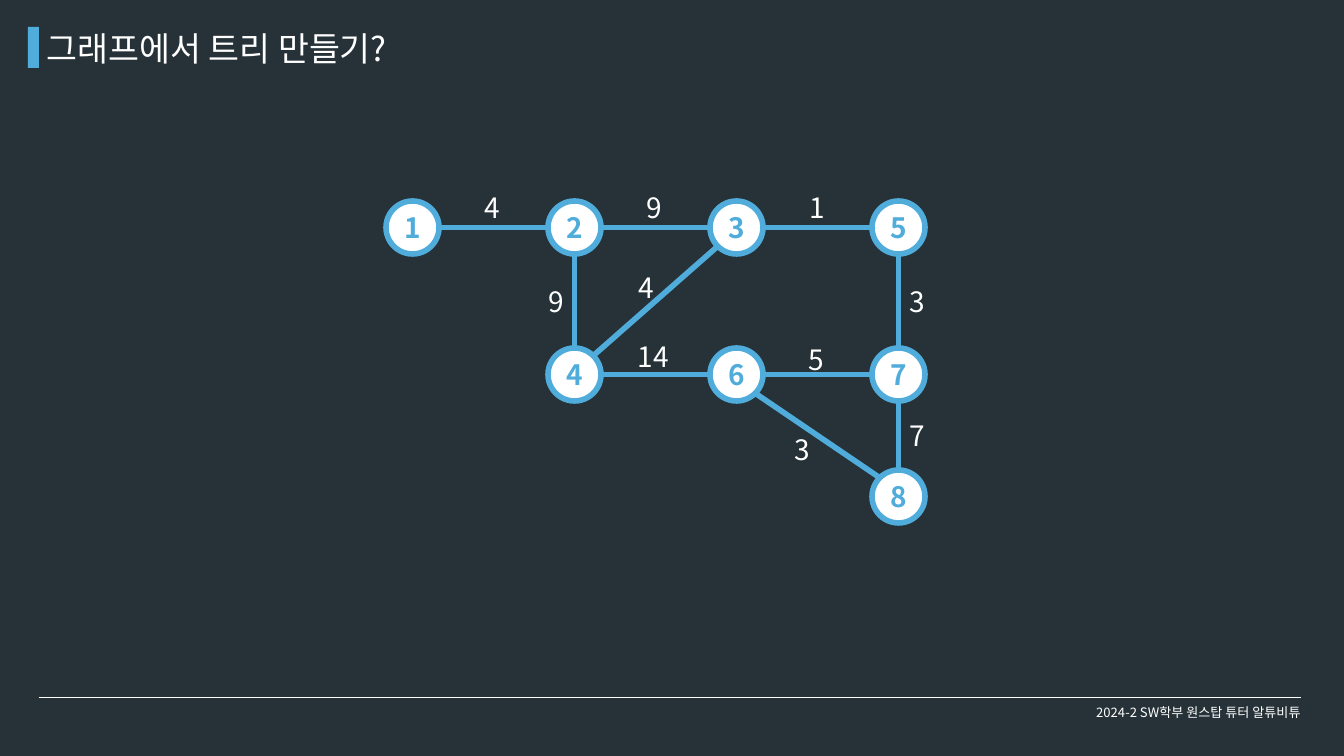
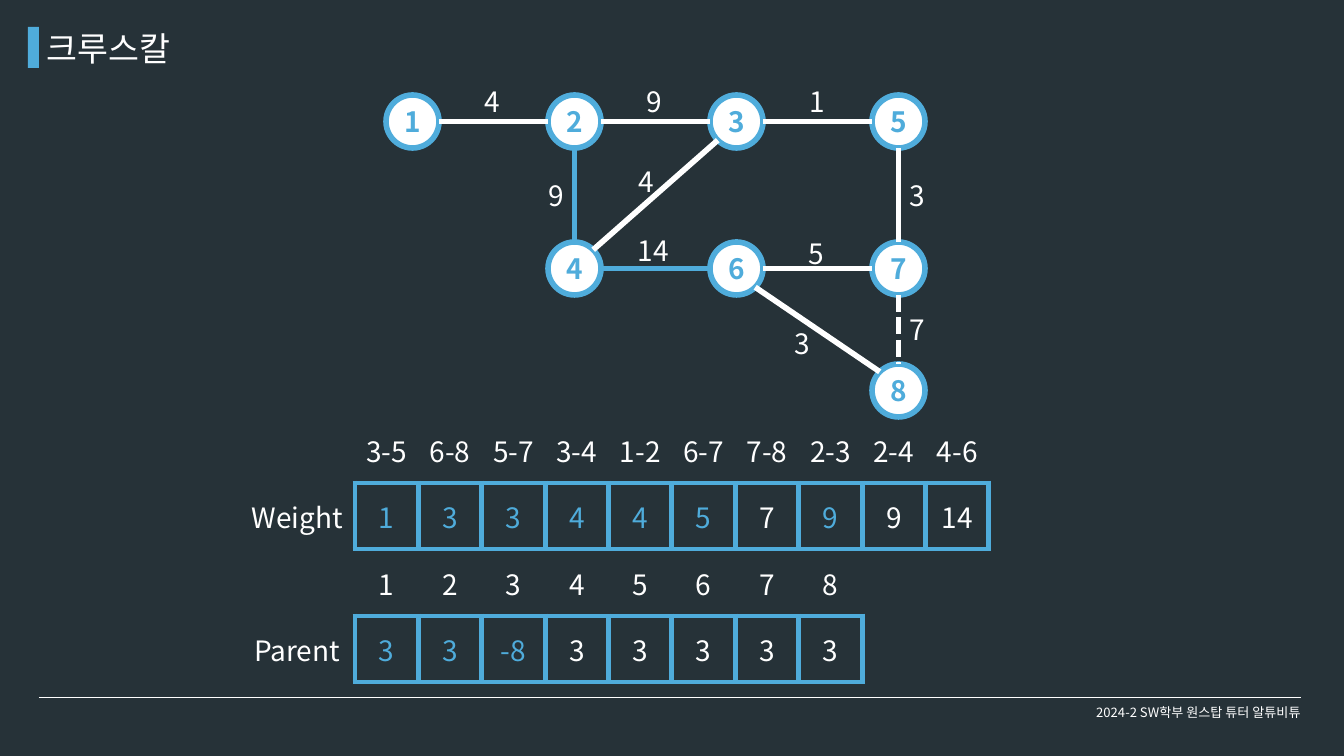
from math import sqrt

from lxml import etree
from pptx import Presentation
from pptx import util as u
from pptx.dml.color import RGBColor
from pptx.enum import dml, shapes, text
from pptx.oxml.ns import qn

EMU_PER_PX = 914400 / 67.2
FONT = "Noto Sans CJK KR"
BACKGROUND = RGBColor(0x26, 0x32, 0x38)
BLUE = RGBColor(0x4F, 0xAC, 0xDB)
WHITE = RGBColor(0xFF, 0xFF, 0xFF)
FOOTER = "2024-2 SW학부 원스탑 튜터 알튜비튜"
THICK = 6

NODE_SIZE, COLUMN_PITCH = 53, 162
ROW_TOPS = (0, 147, 269)
NODES = {1: (0, 0), 2: (1, 0), 3: (2, 0), 5: (3, 0),
         4: (1, 1), 6: (2, 1), 7: (3, 1), 8: (3, 2)}
EDGES = {
    (3, 5): (1, 417, -14),
    (6, 8): (3, 402, 228),
    (5, 7): (3, 517, 80),
    (3, 4): (4, 246, 66),
    (1, 2): (4, 92, -14),
    (6, 7): (5, 416, 138),
    (7, 8): (7, 517, 214),
    (2, 3): (9, 254, -14),
    (2, 4): (9, 156, 80),
    (4, 6): (14, 245, 135),
}
UNUSED_EDGES = {(2, 4), (4, 6)}
REJECTED_EDGE = (7, 8)
PARENTS = (3, 3, -8, 3, 3, 3, 3, 3)
CELL_HEIGHT, TEN_CELLS = 66, 634


def px(*lengths):
    """Turn pixel lengths into EMU."""
    return [u.Emu(round(length * EMU_PER_PX)) for length in lengths]


def write(frame, words, size=30, color=WHITE, align=text.PP_ALIGN.LEFT, bold=False):
    """Fill a text frame with one formatted paragraph."""
    frame.text = str(words)
    paragraph = frame.paragraphs[0]
    paragraph.alignment = align
    font = paragraph.font
    font.size, font.bold, font.name = u.Pt(size), bold, FONT
    font.color.rgb = color
    properties = paragraph._p.pPr.find(qn("a:defRPr"))
    etree.SubElement(properties, qn("a:ea"), typeface=FONT)


def add_text(slide, box, words, wrap=True, **style):
    """Add a vertically centred text box."""
    frame = slide.shapes.add_textbox(*px(*box)).text_frame
    frame.word_wrap = wrap
    frame.vertical_anchor = text.MSO_ANCHOR.MIDDLE
    write(frame, words, **style)


def add_filled(slide, kind, box, color):
    """Add a preset shape with a plain fill and no outline."""
    shape = slide.shapes.add_shape(kind, *px(*box))
    shape.shadow.inherit = False
    shape.fill.solid()
    shape.fill.fore_color.rgb = color
    shape.line.fill.background()
    return shape


def add_line(slide, start, end, color, width):
    """Add a straight line without a shadow."""
    line = slide.shapes.add_connector(shapes.MSO_CONNECTOR.STRAIGHT, *px(*start, *end))
    line.line.color.rgb = color
    line.line.width = u.Pt(width)
    etree.SubElement(line.element.spPr, qn("a:effectLst"))
    return line


def style_master(master, slide):
    """Give the master its background, title bar and footer rule."""
    master.background.fill.solid()
    master.background.fill.fore_color.rgb = BACKGROUND
    bar = add_filled(slide, shapes.MSO_SHAPE.RECTANGLE, (28, 27, 11, 41), BLUE)
    rule = add_line(slide, (39, 697), (1301, 697), WHITE, 0.75)
    for part in (rule, bar):
        master.element.cSld.spTree.append(part.element)


def add_slide(presentation, title):
    """Add a slide with its title and footer."""
    slide = presentation.slides.add_slide(presentation.slide_layouts[5])
    shape = slide.shapes.title
    shape.left, shape.top, shape.width, shape.height = px(40, 24, 638, 48)
    frame = shape.text_frame
    frame.word_wrap = True
    frame.auto_size = text.MSO_AUTO_SIZE.NONE
    frame.vertical_anchor = text.MSO_ANCHOR.MIDDLE
    write(frame, title, size=36)
    add_text(slide, (1064, 693, 269, 38), FOOTER, size=14, align=text.PP_ALIGN.CENTER)
    return slide


def edge_ends(start, end):
    """Find where an edge leaves one node and meets the next."""
    step = [(b > a) - (b < a) for a, b in zip(start, end)]
    reach = NODE_SIZE / 2 / sqrt(sum(map(abs, step)))
    return ([a + s * reach for a, s in zip(start, step)],
            [b - s * reach for b, s in zip(end, step)])


def add_graph(slide, left, top, edge_colors):
    """Draw the weighted graph and return its edges by node pair."""
    centers, lines = {}, {}
    for number, (column, row) in NODES.items():
        x, y = left + column * COLUMN_PITCH, top + ROW_TOPS[row]
        centers[number] = (x + NODE_SIZE / 2, y + NODE_SIZE / 2)
        node = add_filled(slide, shapes.MSO_SHAPE.OVAL, (x, y, NODE_SIZE, NODE_SIZE), WHITE)
        node.line.color.rgb = BLUE
        node.line.width = u.Pt(THICK)
        node.text_frame.vertical_anchor = text.MSO_ANCHOR.MIDDLE
        write(node.text_frame, number, color=BLUE, align=text.PP_ALIGN.CENTER, bold=True)
    for pair, (weight, x, y) in EDGES.items():
        start, end = edge_ends(*(centers[number] for number in pair))
        lines[pair] = add_line(slide, start, end, edge_colors[pair], THICK)
        width = 31 if weight < 10 else 48
        add_text(slide, (left + x, top + y, width, 41), weight, wrap=False)
    return lines


def set_borders(cell, color):
    """Draw all four cell borders, or none without a colour."""
    properties = cell._tc.get_or_add_tcPr()
    for side in "LRTB":
        border = etree.SubElement(properties, qn(f"a:ln{side}"), w=str(u.Pt(THICK)))
        if color is None:
            etree.SubElement(border, qn("a:noFill"))
        else:
            fill = etree.SubElement(border, qn("a:solidFill"))
            etree.SubElement(fill, qn("a:srgbClr"), val=str(color))


def add_row(slide, left, top, values, colors, border=None):
    """Add a one-row table of equal cells."""
    count = len(values)
    box = px(left, top, TEN_CELLS * count / 10, CELL_HEIGHT)
    table = slide.shapes.add_table(1, count, *box).table
    table.first_row = table.horz_banding = False
    for cell, value, color in zip(table.rows[0].cells, values, colors):
        set_borders(cell, border)
        cell.fill.background()
        cell.vertical_anchor = text.MSO_ANCHOR.MIDDLE
        write(cell.text_frame, value, color=color, align=text.PP_ALIGN.CENTER)


def add_array(slide, left, top, label, heads, values, colors):
    """Add a labelled array with its headings above the cells."""
    cells_left, cells_top = left + 116, top + CELL_HEIGHT
    add_row(slide, cells_left, top, heads, [WHITE] * len(heads))
    add_row(slide, cells_left, cells_top, values, colors, BLUE)
    add_text(slide, (left, cells_top + 14, 116, 41), label, align=text.PP_ALIGN.CENTER)


def add_kruskal(slide):
    """Draw the finished spanning tree and its arrays."""
    colors = {pair: BLUE if pair in UNUSED_EDGES else WHITE for pair in EDGES}
    lines = add_graph(slide, 386, 95, colors)
    lines[REJECTED_EDGE].line.dash_style = dml.MSO_LINE.SQUARE_DOT
    heads = [f"{a}-{b}" for a, b in EDGES]
    weights = [weight for weight, _, _ in EDGES.values()]
    skipped = UNUSED_EDGES | {REJECTED_EDGE}
    add_array(slide, 239, 417, "Weight", heads, weights,
              [WHITE if pair in skipped else BLUE for pair in EDGES])
    add_array(slide, 239, 550, "Parent", range(1, 9), PARENTS, [BLUE] * 3 + [WHITE] * 5)


def main():
    """Build and save the presentation."""
    presentation = Presentation()
    presentation.slide_width, presentation.slide_height = px(1344, 756)
    question = add_slide(presentation, "그래프에서 트리 만들기?")
    style_master(presentation.slide_master, question)
    add_graph(question, 386, 201, dict.fromkeys(EDGES, BLUE))
    add_kruskal(add_slide(presentation, "크루스칼"))
    presentation.save("out.pptx")


if __name__ == "__main__":
    main()
